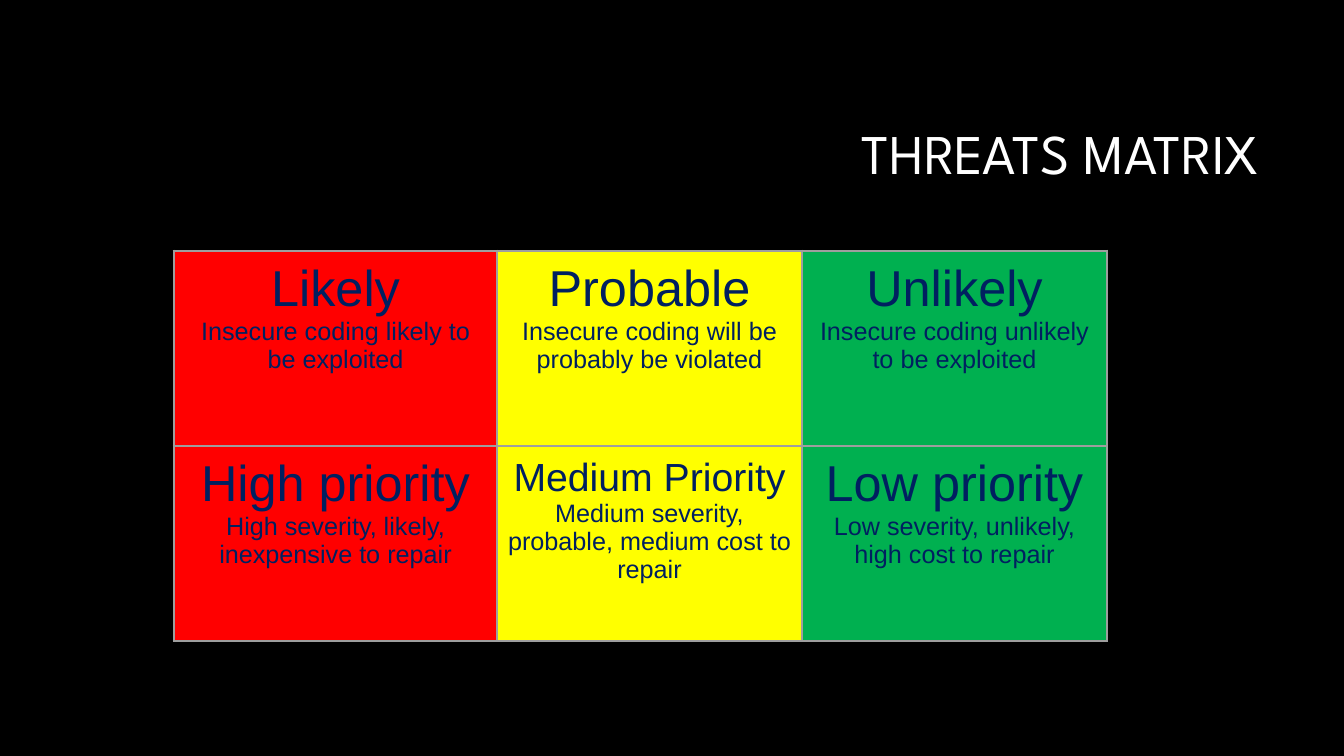
from dataclasses import dataclass

from lxml.etree import SubElement
from pptx import Presentation
from pptx.dml.color import RGBColor
from pptx.enum.text import MSO_ANCHOR as Anchor, PP_ALIGN as Align
from pptx.oxml.ns import qn
from pptx.slide import Slide
from pptx.table import _Cell as Cell
from pptx.text.text import _Paragraph as Paragraph
from pptx.util import Emu, Pt

EMU_PER_PX = 914400 / 100.8
NAVY, WHITE, BLACK, GREY = "002060", "FFFFFF", "000000", "9E9E9E"
BORDER_WIDTH = Pt(2.25)
ROW_HEIGHT = 195


@dataclass(frozen=True)
class Rating:
    heading: str
    detail: str
    heading_size: int = 36


@dataclass(frozen=True)
class ThreatLevel:
    fill: str
    width: int
    ratings: tuple[Rating, ...]


THREAT_LEVELS = (
    ThreatLevel("FF0000", 323, (
        Rating("Likely", "Insecure coding likely to be exploited"),
        Rating("High priority", "High severity, likely, inexpensive to repair"),
    )),
    ThreatLevel("FFFF00", 305, (
        Rating("Probable", "Insecure coding will be probably be violated"),
        Rating("Medium Priority", "Medium severity, probable, medium cost to repair", 28),
    )),
    ThreatLevel("00B050", 305, (
        Rating("Unlikely", "Insecure coding unlikely to be exploited"),
        Rating("Low priority", "Low severity, unlikely, high cost to repair"),
    )),
)


def px(length: int) -> Emu:
    return Emu(round(length * EMU_PER_PX))


def color(value: str) -> RGBColor:
    return RGBColor.from_string(value)


def set_attributes(target: object, values: dict[str, object]) -> None:
    for name, value in values.items():
        setattr(target, name, value)


def write_line(paragraph: Paragraph, text: str, size: int, font: str,
               text_color: str, alignment: Align) -> None:
    paragraph.alignment = alignment
    run = paragraph.add_run()
    run.text = text
    set_attributes(run.font, {"name": font, "size": Pt(size), "bold": False})
    run.font.color.rgb = color(text_color)


def add_borders(cell: Cell) -> None:
    """Outline all four sides; must run before the cell's fill is set."""
    properties = cell._tc.get_or_add_tcPr()
    for side in ("lnL", "lnR", "lnT", "lnB"):
        line = SubElement(properties, qn(f"a:{side}"), w=str(BORDER_WIDTH))
        fill = SubElement(line, qn("a:solidFill"))
        SubElement(fill, qn("a:srgbClr"), val=GREY)


def fill_cell(cell: Cell, rating: Rating, fill: str) -> None:
    add_borders(cell)
    cell.fill.solid()
    cell.fill.fore_color.rgb = color(fill)
    margins = ("margin_left", "margin_right", "margin_top", "margin_bottom")
    set_attributes(cell, dict.fromkeys(margins, px(10)))
    frame = cell.text_frame
    write_line(frame.paragraphs[0], rating.heading, rating.heading_size,
               "Arial", NAVY, Align.CENTER)
    write_line(frame.add_paragraph(), rating.detail, 18, "Arial", NAVY, Align.CENTER)


def add_title(slide: Slide, text: str) -> None:
    frame = slide.shapes.add_textbox(px(320), px(85), px(949), px(142)).text_frame
    set_attributes(frame, {"word_wrap": True, "vertical_anchor": Anchor.MIDDLE})
    paragraph = frame.paragraphs[0]
    paragraph.line_spacing = 0.9
    write_line(paragraph, text, 40, "League Spartan", WHITE, Align.RIGHT)


def add_matrix(slide: Slide) -> None:
    row_count = len(THREAT_LEVELS[0].ratings)
    width = sum(level.width for level in THREAT_LEVELS)
    table = slide.shapes.add_table(
        row_count, len(THREAT_LEVELS), px(174), px(251),
        px(width), px(ROW_HEIGHT * row_count)).table
    set_attributes(table, {"first_row": False, "horz_banding": False})
    for row in table.rows:
        row.height = px(ROW_HEIGHT)
    for column_index, level in enumerate(THREAT_LEVELS):
        table.columns[column_index].width = px(level.width)
        for row_index, rating in enumerate(level.ratings):
            fill_cell(table.cell(row_index, column_index), rating, level.fill)


def main() -> None:
    presentation = Presentation()
    set_attributes(presentation, {"slide_width": px(1344), "slide_height": px(756)})
    slide = presentation.slides.add_slide(presentation.slide_layouts[6])
    slide.background.fill.solid()
    slide.background.fill.fore_color.rgb = color(BLACK)
    add_title(slide, "THREATS MATRIX")
    add_matrix(slide)
    presentation.save("out.pptx")


if __name__ == "__main__":
    main()
